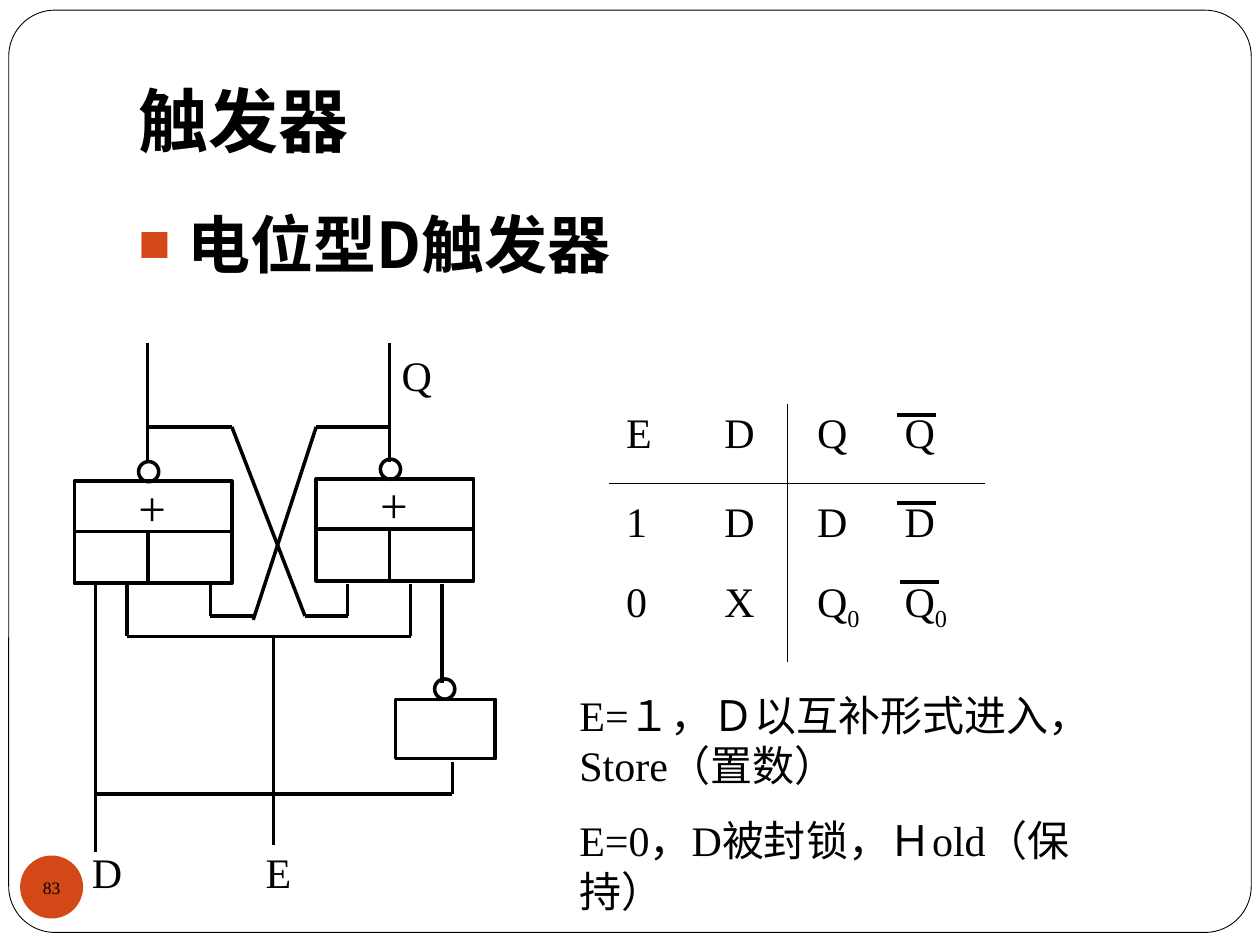
from itertools import pairwise
from lxml.etree import SubElement as Sub
from pptx import Presentation
from pptx.dml.color import RGBColor
from pptx.enum.shapes import MSO_CONNECTOR as Link, MSO_SHAPE as Kind
from pptx.enum.text import MSO_ANCHOR as Anchor, MSO_AUTO_SIZE as Fit, PP_ALIGN as Align
from pptx.oxml.ns import qn
from pptx.util import Pt

SANS, SERIF = "Noto Sans CJK JP", "Times New Roman"
BLACK, WHITE, RED = "000000", "FFFFFF", "D34817"

# Content
TITLE, TOPIC, PAGE = "触发器", "电位型D触发器", "83"
NOTES = [  # left, top, width, height, text
    (324, 462.2, 340.6, 36, "E=0，D被封锁，Ｈold（保持）"),
    (324, 390.2, 365.8, 65, "E=１，Ｄ以互补形式进入，\nStore（置数）"),
]
LABELS = [("Q", 222.5, 196), ("D", 45.4, 480.2), ("E", 144.7, 480.2)]
GATES = [(42.5, 275), (180.7, 273.6)]
WIRES = [
    [(84.3, 264.3), (84.3, 195.8)],
    [(222.5, 264.3), (222.5, 195.8)],
    [(84.3, 244), (132.5, 244), (174.3, 352), (198.7, 352), (198.7, 334)],
    [(222.5, 244), (180.7, 244), (144.7, 354.2)],
    [(144.7, 352), (120.2, 352), (120.2, 334)],
    [(72.7, 334), (72.7, 363.6), (234.7, 363.6), (234.7, 334)],
    [(252.7, 390.2), (252.7, 334)],
    [(156.2, 363.6), (156.2, 483)],
    [(54.7, 334), (54.7, 486.7)],
    [(258.5, 435.6), (258.5, 453.6), (54.7, 453.6)],
]
# Truth table: "_" starts a subscript
ROWS = [["E", "D", "Q", "Q"], ["1", "D", "D", "D"], ["0", "X", "Q_0", "Q_0"]]
XS, INSETS = [347.8, 400, 450, 505, 563], [10, 14, 17, 12]
YS, DROPS = [231.1, 276.2, 327.6, 378], [3.6, 9.6, 3.6]
BARS = [(512.6, 236.9), (512.6, 287.3), (514.5, 332.6)]

deck = Presentation()
deck.slide_width, deck.slide_height = Pt(720), Pt(540)
slide = deck.slides.add_slide(deck.slide_layouts[5])
shapes = slide.shapes


def tint(color):
    return RGBColor.from_string(color)


def style(para, size, face=SERIF, bold=False):
    for run in para.runs:
        font = run.font
        font.size, font.name, font.bold = Pt(size), face, bold
        font.color.rgb = tint(BLACK)
        Sub(font._element, qn("a:ea"), typeface=SANS)


def shape(kind, x, y, w, h, fill=None, line=None):
    item = shapes.add_shape(kind, Pt(x), Pt(y), Pt(w), Pt(h))
    item.shadow.inherit = False
    if fill:
        item.fill.solid()
        item.fill.fore_color.rgb = tint(fill)
    else:
        item.fill.background()
    if line:
        item.line.color.rgb = tint(BLACK)
        item.line.width = Pt(line)
    else:
        item.line.fill.background()
    return item


def wire(points, width=2):
    for (x1, y1), (x2, y2) in pairwise(points):
        item = shapes.add_connector(Link.STRAIGHT, Pt(x1), Pt(y1), Pt(x2), Pt(y2))
        item.line.color.rgb = tint(BLACK)
        item.line.width = Pt(width)
        Sub(item._element.spPr, qn("a:effectLst"))


def text(x, y, w, h, words, size=24, face=SERIF, bold=False, wrap=True):
    frame = shapes.add_textbox(Pt(x), Pt(y), Pt(w), Pt(h)).text_frame
    frame.word_wrap = wrap
    frame.auto_size = Fit.SHAPE_TO_FIT_TEXT
    frame.text = words
    for para in frame.paragraphs:
        style(para, size, face, bold)
    return frame.paragraphs[0]


def ring(x, y):
    shape(Kind.OVAL, x, y, 11.5, 11.5, line=2)


def gate(x, y):
    mid = x + 42
    shape(Kind.RECTANGLE, x, y, 90, 58.3, line=2)
    wire([(x, y + 28.8), (x + 90, y + 28.8)])
    wire([(mid, y + 28.8), (mid, y + 58.3)])
    text(x + 29.5, y - 5.7, 30.2, 41, "+", 28, wrap=False)
    ring(mid - 5.3, y - 11.2)


def fill(cell, words, inset, drop):
    cell.fill.background()
    cell.margin_left, cell.margin_top = Pt(inset), Pt(drop)
    cell.margin_right = cell.margin_bottom = 0
    cell.vertical_anchor = Anchor.TOP
    base, _, low = words.partition("_")
    para = cell.text_frame.paragraphs[0]
    para.text = base
    if low:
        run = para.add_run()
        run.text = low
        run.font._element.set("baseline", "-25000")
    style(para, 24)


# Frame and page number
frame = shape(Kind.ROUNDED_RECTANGLE, 5, 5.8, 710, 527, WHITE, 0.5)
frame.adjustments[0] = 0.05
badge = shape(Kind.OVAL, 11.5, 488.9, 36, 36, RED).text_frame
badge.margin_left = badge.margin_right = badge.margin_top = badge.margin_bottom = 0
badge.word_wrap = False
badge.vertical_anchor = Anchor.MIDDLE
badge.text = PAGE
badge.paragraphs[0].alignment = Align.CENTER
style(badge.paragraphs[0], 10)

# Title, kept above the frame
title = shapes.title
title.left, title.top, title.width, title.height = Pt(72), Pt(21.6), Pt(612), Pt(77.8)
shapes._spTree.append(title._element)
head = title.text_frame
head.text = TITLE
head.vertical_anchor = Anchor.BOTTOM
head.margin_bottom = Pt(7.2)
head.paragraphs[0].alignment = Align.LEFT
style(head.paragraphs[0], 40, SANS, True)

# Bulleted topic
topic = text(72, 114, 612, 60, TOPIC, 36, SANS, True)
props = topic._p.get_or_add_pPr()
props.set("marL", str(Pt(28)))
props.set("indent", str(-Pt(28)))
Sub(Sub(props, qn("a:buClr")), qn("a:srgbClr"), val=RED)
Sub(props, qn("a:buSzPct"), val="85000")
Sub(props, qn("a:buFont"), typeface=SERIF)
Sub(props, qn("a:buChar"), char="■")

# Circuit
for spot in GATES:
    gate(*spot)
shape(Kind.RECTANGLE, 226, 399.6, 57, 34, line=2)
ring(248.4, 388)
for points in WIRES:
    wire(points)
for word, x, y in LABELS:
    text(x, y, 31.7, 36, word, wrap=False)

# Truth table
left, right, top, foot = XS[0], XS[-1], YS[0], YS[-1]
grid = shapes.add_table(len(ROWS), len(INSETS), Pt(left), Pt(top),
                        Pt(right - left), Pt(foot - top)).table
grid.first_row = grid.horz_banding = False
grid._tbl.tblPr.find(qn("a:tableStyleId")).text = "{2D5ABB26-0587-4C30-8999-92F81FD0307C}"
for col, (a, b) in zip(grid.columns, pairwise(XS)):
    col.width = Pt(b - a)
for row, (a, b), words, drop in zip(grid.rows, pairwise(YS), ROWS, DROPS):
    row.height = Pt(b - a)
    for cell, word, inset in zip(row.cells, words, INSETS):
        fill(cell, word, inset, drop)
wire([(left, YS[1]), (right, YS[1])], 0.75)
wire([(XS[2], top), (XS[2], foot)], 0.75)
for x, y in BARS:
    wire([(x, y), (x + 22.3, y)], 2.25)

# Notes
for note in NOTES:
    text(*note)

deck.save("out.pptx")
